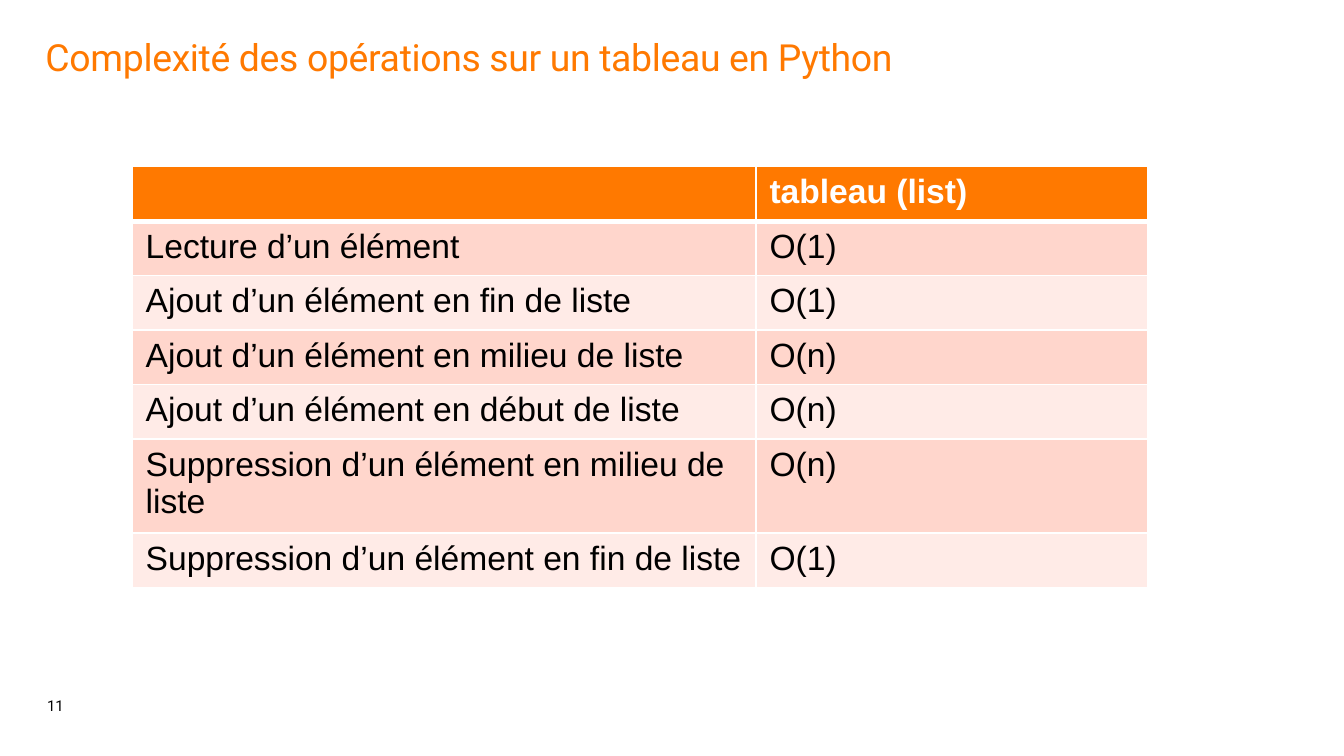
from lxml.etree import SubElement
from pptx import Presentation
from pptx.dml.color import RGBColor as RGB
from pptx.enum.text import MSO_ANCHOR as Anchor
from pptx.oxml import parse_xml
from pptx.oxml.ns import nsdecls, qn
from pptx.util import Cm, Pt

COLORS = {
    "orange": "FF7900",
    "band_dark": "FFD6CC",
    "band_light": "FFEBE7",
    "white": "FFFFFF",
    "black": "000000",
}
THIN, THICK = Pt(0.96), Pt(3)

ROWS = [
    ("", "tableau (list)"),
    ("Lecture d’un élément", "O(1)"),
    ("Ajout d’un élément en fin de liste", "O(1)"),
    ("Ajout d’un élément en milieu de liste", "O(n)"),
    ("Ajout d’un élément en début de liste", "O(n)"),
    ("Suppression d’un élément en milieu de liste", "O(n)"),
    ("Suppression d’un élément en fin de liste", "O(1)"),
]
COL_WIDTHS = [11.79, 7.41]
ROW_HEIGHTS = [1.03] * 5 + [1.67, 1.03]


def write(tf, text, font="Arial", size=18, color="black", bold=False,
          line=None, after=None, spacing=None):
    p = tf.paragraphs[0]
    p.line_spacing = line
    if after is not None:
        p.space_after = Pt(after)
    p.font.size = Pt(size)
    if not text:
        return
    r = p.add_run()
    r.text = text
    r.font.name = font
    r.font.size = Pt(size)
    r.font.bold = bold
    r.font.color.rgb = RGB.from_string(COLORS[color])
    if spacing is not None:
        r.font._element.set("spc", str(round(spacing * 100)))


class SlideBuilder:
    def __init__(self, slide, colors):
        self.slide = slide
        self.colors = colors

    def text(self, text, x, y, w, h, anchor=Anchor.TOP, inset=0, **fmt):
        sp = self.slide.shapes.add_textbox(Cm(x), Cm(y), Cm(w), Cm(h))
        tf = sp.text_frame
        tf.word_wrap = True
        tf.vertical_anchor = anchor
        tf.margin_left = Cm(inset)
        tf.margin_top = tf.margin_right = tf.margin_bottom = 0
        write(tf, text, **fmt)

    def borders(self, cell, top, bottom):
        tc_pr = cell._tc.get_or_add_tcPr()
        widths = {"L": THIN, "R": THIN, "T": top, "B": bottom}
        # Border lines come before the fill in the cell properties
        for i, (side, width) in enumerate(widths.items()):
            ln = parse_xml(f'<a:ln{side} {nsdecls("a")} w="{int(width)}"/>')
            fill = SubElement(ln, qn("a:solidFill"))
            SubElement(fill, qn("a:srgbClr"), val=self.colors["white"])
            tc_pr.insert(i, ln)

    def table(self, rows, x, y, widths, heights):
        frame = self.slide.shapes.add_table(
            len(rows), len(widths), Cm(x), Cm(y), Cm(sum(widths)), Cm(sum(heights)))
        table = frame.table
        for col, width in zip(table.columns, widths):
            col.width = Cm(width)
        for i, (row, height, values) in enumerate(zip(table.rows, heights, rows)):
            row.height = Cm(height)
            header = i == 0
            band = "orange" if header else ("band_light", "band_dark")[i % 2]
            for cell, value in zip(row.cells, values):
                cell.fill.solid()
                cell.fill.fore_color.rgb = RGB.from_string(self.colors[band])
                self.borders(cell, THICK if i == 1 else THIN,
                             THICK if header else THIN)
                write(cell.text_frame, value, bold=header,
                      color="white" if header else "black")


def main():
    prs = Presentation()
    prs.slide_width, prs.slide_height = Cm(25.4), Cm(14.29)
    s = SlideBuilder(prs.slides.add_slide(prs.slide_layouts[6]), COLORS)

    # Page number
    s.text("11", 0.86, 12.6, 0.76, 0.91, anchor=Anchor.BOTTOM, inset=0.03,
           font="Roboto", size=8, line=0.85, after=12)

    # Title
    s.text("Complexité des opérations sur un tableau en Python",
           0.86, 0.74, 23.65, 2.06, font="Roboto", size=20, color="orange",
           line=0.9, spacing=-0.2)

    # Complexity table
    s.table(ROWS, 2.5, 3.15, COL_WIDTHS, ROW_HEIGHTS)

    prs.save("out.pptx")


if __name__ == "__main__":
    main()
